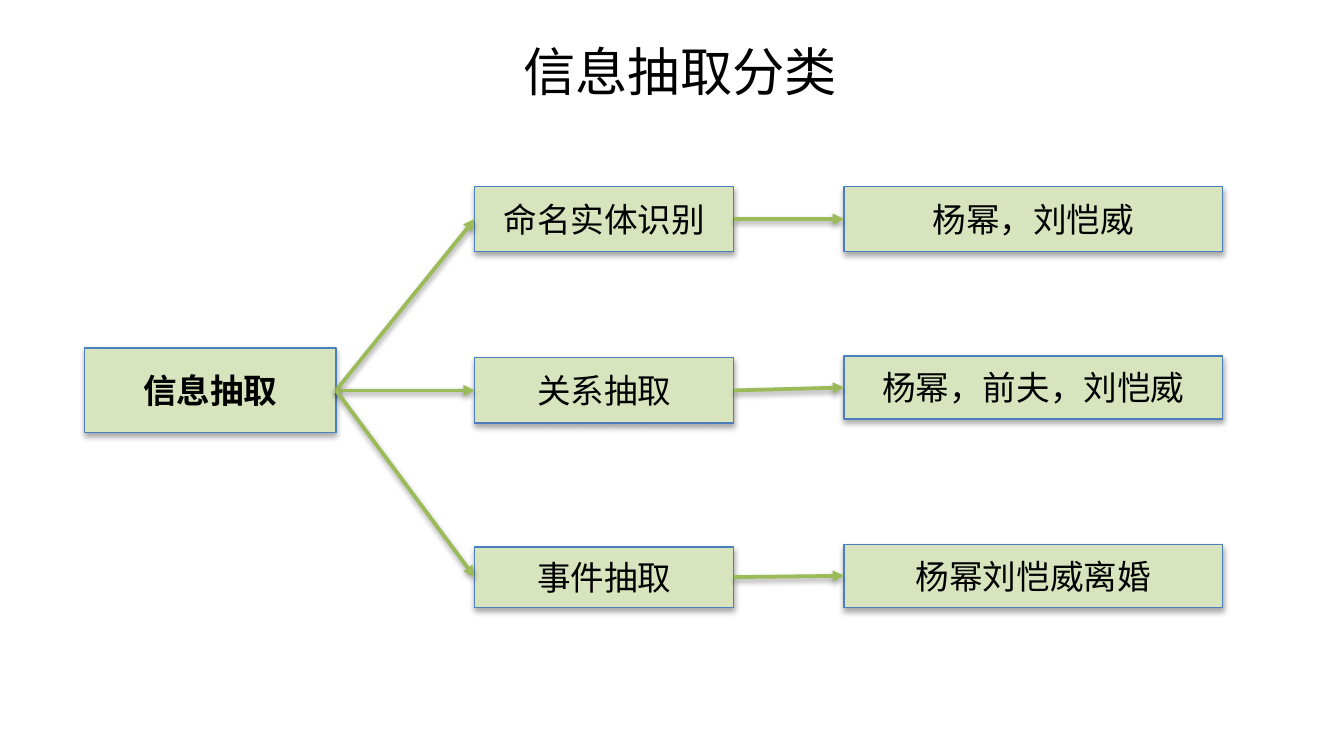
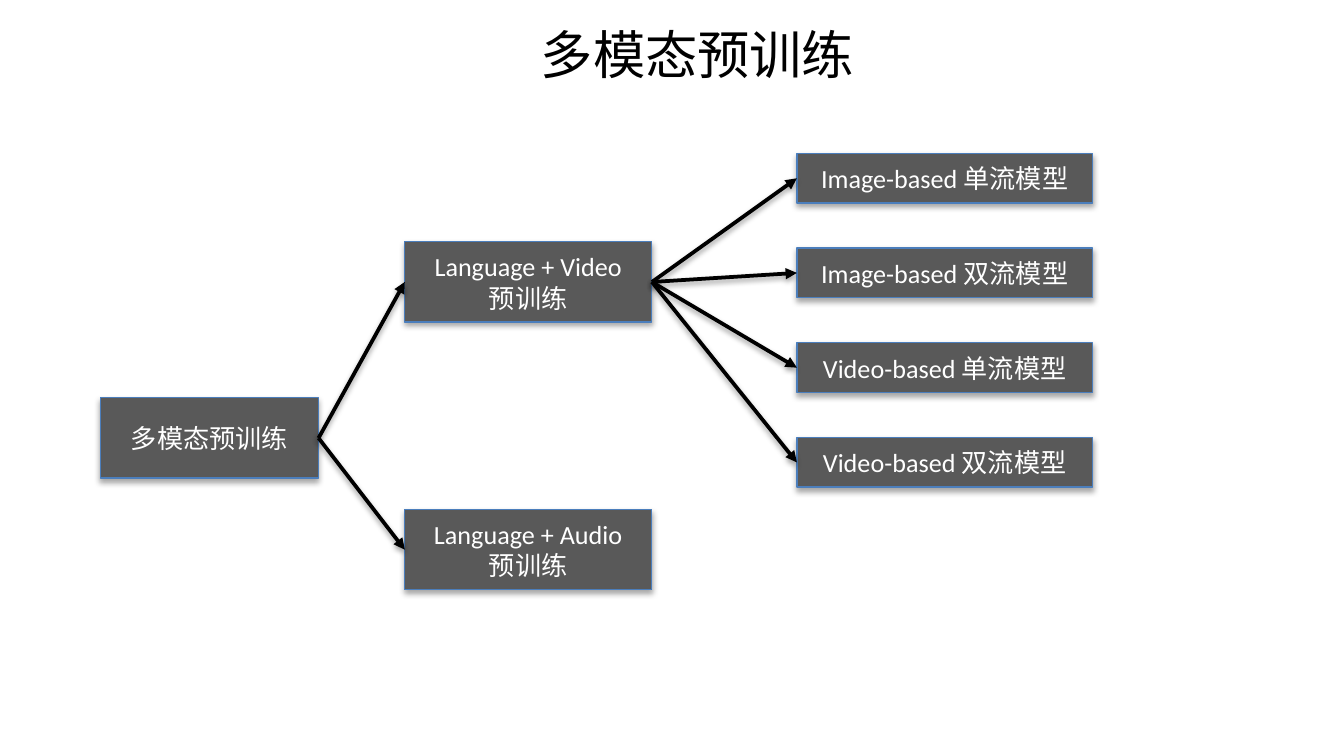
"""Two slides of box-and-arrow trees: information extraction and multimodal pretraining."""
from lxml import etree
from pptx import Presentation
from pptx.dml.color import RGBColor
from pptx.enum.shapes import MSO_CONNECTOR, MSO_SHAPE
from pptx.enum.text import MSO_ANCHOR, MSO_AUTO_SIZE, PP_ALIGN
from pptx.oxml.ns import qn
from pptx.util import Cm, Pt

RECT, STRAIGHT = MSO_SHAPE.RECTANGLE, MSO_CONNECTOR.STRAIGHT
TOP, MIDDLE, CENTER = MSO_ANCHOR.TOP, MSO_ANCHOR.MIDDLE, PP_ALIGN.CENTER
FIT_SHAPE = MSO_AUTO_SIZE.SHAPE_TO_FIT_TEXT
TITLE_ONLY = 5
LEFT_SIDE, RIGHT_SIDE = 1, 3
FONT = "Calibri"
BLACK, WHITE, BORDER = "000000", "FFFFFF", "4B7EBC"
GREEN, PALE_GREEN, GRAY = "9BBB59", "D7E4BD", "595959"


def rgb(value):
    return RGBColor.from_string(value)


def add_shadow(effects, dist, alpha):
    shadow = etree.SubElement(effects, qn("a:outerShdw"), blurRad="40000",
                              dist=str(dist), dir="5400000", rotWithShape="0")
    color = etree.SubElement(shadow, qn("a:srgbClr"), val=BLACK)
    etree.SubElement(color, qn("a:alpha"), val=str(alpha * 1000))


class Deck:
    def __init__(self):
        self.prs = Presentation()
        self.prs.slide_width, self.prs.slide_height = Cm(25.4), Cm(14.29)

    def slide(self, title, left, top, width, fill, ink, size, arrow):
        self.s = self.prs.slides.add_slide(self.prs.slide_layouts[TITLE_ONLY])
        self.fill, self.ink, self.size, self.arrow_color = fill, ink, size, arrow
        sp = self.s.shapes.title
        sp.left, sp.top, sp.width, sp.height = Cm(left), Cm(top), Cm(width), Cm(1.45)
        self.text(sp.text_frame, title, 28, BLACK, TOP)
        sp.text_frame.auto_size = FIT_SHAPE

    def text(self, tf, text, size, color, anchor, bold=False):
        tf.text = text
        tf.word_wrap = True
        tf.vertical_anchor = anchor
        for p in tf.paragraphs:
            p.alignment = CENTER
            for r in p.runs:
                r.font.name, r.font.size, r.font.bold = FONT, Pt(size), bold
                r.font.color.rgb = rgb(color)

    def box(self, text, left, top, width, height, bold=False):
        sp = self.s.shapes.add_shape(RECT, Cm(left), Cm(top), Cm(width), Cm(height))
        sp.fill.solid()
        sp.fill.fore_color.rgb = rgb(self.fill)
        sp.line.color.rgb = rgb(BORDER)
        sp.line.width = Pt(0.75)
        sp.shadow.inherit = False
        add_shadow(sp._element.spPr.find(qn("a:effectLst")), 23000, 35)
        self.text(sp.text_frame, text, self.size, self.ink, MIDDLE, bold)
        return sp

    def arrow(self, start, end):
        line = self.s.shapes.add_connector(STRAIGHT, 0, 0, 0, 0)
        line.begin_connect(start, RIGHT_SIDE)
        line.end_connect(end, LEFT_SIDE)
        line.line.color.rgb = rgb(self.arrow_color)
        line.line.width = Pt(2)
        props = line._element.spPr
        etree.SubElement(props.find(qn("a:ln")), qn("a:tailEnd"), type="triangle")
        add_shadow(etree.SubElement(props, qn("a:effectLst")), 20000, 38)


def extraction_slide(deck):
    deck.slide("信息抽取分类", 5.44, 0.61, 14.83, PALE_GREEN, BLACK, 18, GREEN)
    root = deck.box("信息抽取", 1.6, 6.58, 4.75, 1.6, bold=True)
    rows = [
        ("命名实体识别", 3.53, 1.22, "杨幂，刘恺威", 3.53, 1.22),
        ("关系抽取", 6.76, 1.24, "杨幂，前夫，刘恺威", 6.73, 1.19),
        ("事件抽取", 10.34, 1.14, "杨幂刘恺威离婚", 10.29, 1.19),
    ]
    for name, top, height, sample, sample_top, sample_height in rows:
        task = deck.box(name, 8.97, top, 4.9, height)
        example = deck.box(sample, 15.95, sample_top, 7.16, sample_height)
        deck.arrow(root, task)
        deck.arrow(task, example)


def pretraining_slide(deck):
    deck.slide("多模态预训练", 3.96, 0.3, 18.44, GRAY, WHITE, 14, BLACK)
    root = deck.box("多模态预训练", 1.9, 7.52, 4.12, 1.52)
    video, audio = [deck.box(f"Language + {kind}\n预训练", 7.65, top, 4.67, 1.52)
                    for kind, top in (("Video", 4.57), ("Audio", 9.63))]
    for branch in (video, audio):
        deck.arrow(root, branch)
    models = [f"{base}-based {streams}流模型"
              for base in ("Image", "Video") for streams in "单双"]
    for i, name in enumerate(models):
        deck.arrow(video, deck.box(name, 15.06, 2.9 + 1.79 * i, 5.59, 0.94))


def main():
    deck = Deck()
    extraction_slide(deck)
    pretraining_slide(deck)
    deck.prs.save("out.pptx")


if __name__ == "__main__":
    main()
